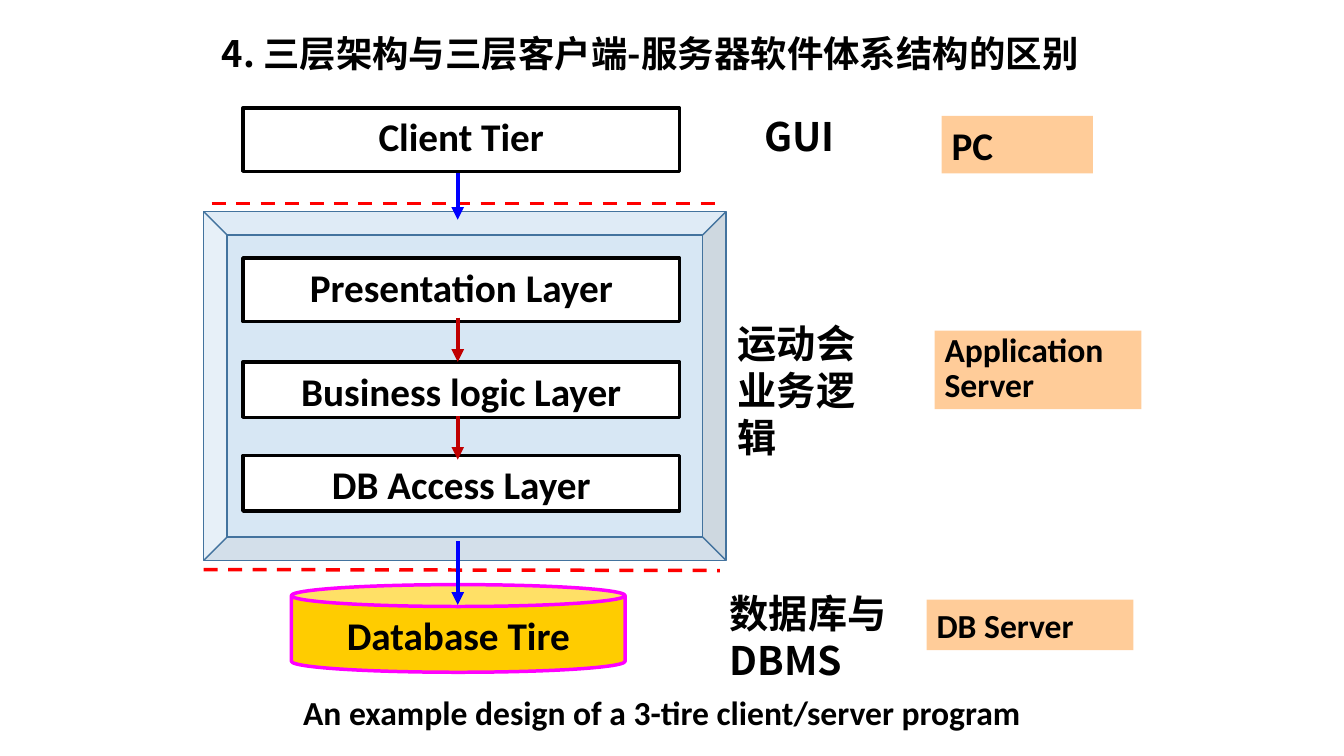
from dataclasses import dataclass

from lxml.etree import SubElement as Sub
from pptx import Presentation
from pptx.dml.color import RGBColor as Rgb
from pptx.enum.dml import MSO_LINE as Dash
from pptx.enum.shapes import MSO_CONNECTOR as Link, MSO_SHAPE as Kind
from pptx.enum.text import MSO_ANCHOR as Anchor, PP_ALIGN as Align
from pptx.oxml.ns import qn
from pptx.util import Pt

SCALE = 9144  # EMU in one px, 100 px to the inch


@dataclass(frozen=True)
class Theme:
    ink: str = "000000"
    paper: str = "FFFFFF"
    frame: str = "5B9BD5"
    edge: str = "43739E"
    gold: str = "FFCC00"
    pink: str = "FF00FF"
    peach: str = "FFCC99"
    red: str = "FF0000"
    blue: str = "0000FF"
    wine: str = "C00000"
    latin: str = "Calibri"
    asian: str = "Noto Sans CJK SC"
    big: int = 28
    head: int = 26
    small: int = 24


T = Theme()


def px(*nums):
    return [round(n * SCALE) for n in nums]


def apply(item, form):
    for key, val in form.items():
        setattr(item, key, val)


def write(shape, text, size=T.big, face=T.latin, align=Align.LEFT,
          lead=None, anchor=Anchor.TOP):
    frame = shape.text_frame
    apply(frame, {"word_wrap": True, "vertical_anchor": anchor})
    for i, line in enumerate(text.split("\n")):
        para = frame.add_paragraph() if i else frame.paragraphs[0]
        apply(para, {"alignment": align, "line_spacing": lead})
        run = para.add_run()
        run.text = line
        apply(run.font, {"size": Pt(size), "bold": True, "name": face})
        run.font.color.rgb = Rgb.from_string(T.ink)
        Sub(run.font._element, qn("a:ea"), typeface=face)


def label(slide, box, text, **form):
    write(slide.shapes.add_textbox(*px(*box)), text, **form)


def block(slide, kind, box, fill, line=None, width=2.5):
    shape = slide.shapes.add_shape(kind, *px(*box))
    shape.shadow.inherit = False
    shape.fill.solid()
    shape.fill.fore_color.rgb = Rgb.from_string(fill)
    if line:
        shape.line.color.rgb = Rgb.from_string(line)
        shape.line.width = Pt(width)
    else:
        shape.line.fill.background()
    return shape


def stroke(slide, ends, color, width, dash=None, arrow=False):
    line = slide.shapes.add_connector(Link.STRAIGHT, *px(*ends))
    line.line.color.rgb = Rgb.from_string(color)
    apply(line.line, {"width": Pt(width), "dash_style": dash})
    if arrow:
        Sub(line.line._get_or_add_ln(), qn("a:tailEnd"), type="triangle")
    Sub(line._element.spPr, qn("a:effectLst"))


def tier(slide, box, text):
    shape = block(slide, Kind.RECTANGLE, box, T.paper, T.ink)
    write(shape, text, align=Align.CENTER)


def middle(slide, box):
    """Bevelled frame with the three layers inside."""
    x, y, w, h = box
    frame = block(slide, Kind.BEVEL, box, T.frame, T.edge, 1)
    frame.adjustments[0] = 0.067
    tint = frame.fill._xPr.find(".//" + qn("a:srgbClr"))
    Sub(tint, qn("a:alpha"), val="24000")
    for top, high, text in ((46, 63, "Presentation Layer"),
                            (149, 55, "Business logic Layer"),
                            (242, 55, "DB Access Layer")):
        tier(slide, (x + 39, y + top, 433, high), text)


def store(slide, box):
    """Database cylinder."""
    can = block(slide, Kind.CAN, box, T.gold, T.pink)
    can.adjustments[0] = 0.25
    write(can, "Database Tire", align=Align.CENTER)


def flow(slide, box):
    """Dashed borders and arrows around the frame."""
    x, y, w, h = box
    for left, top, end in ((8, -8, -8), (0, h + 9, h + 10)):
        stroke(slide, (x + left, y + top, x + 512, y + end),
               T.red, 2.5, Dash.DASH)
    mid = x + 252
    for top, end, color in ((-48, 8, T.blue), (105, 149, T.wine),
                            (203, 246, T.wine), (327, 390, T.blue)):
        stroke(slide, (mid, y + top, mid, y + end), color, 3, arrow=True)


def roles(slide, box):
    """What each tier does."""
    x, y, w, h = box
    for left, top, wide, high, text, align in (
            (16, 0, 126, 57, "GUI", Align.CENTER),
            (8, 205, 173, 152, "运动会业务逻辑", Align.LEFT),
            (0, 473, 181, 104, "数据库与DBMS", Align.LEFT)):
        label(slide, (x + left, y + top, wide, high), text,
              face=T.asian, align=align)


def hosts(slide, box):
    """Machines that run each tier."""
    x, y, w, h = box
    for left, top, wide, high, text, size, lead in (
            (15, 0, 150, 57, "PC", T.big, None),
            (8, 213, 205, 78, "Application\nServer", T.small, 0.85),
            (0, 480, 205, 50, "DB Server", T.small, None)):
        spot = (x + left, y + top, wide, high)
        shape = block(slide, Kind.RECTANGLE, spot, T.peach)
        write(shape, text, size=size, lead=lead)


def main():
    deck = Presentation()
    deck.slide_width, deck.slide_height = px(1333, 750)
    slide = deck.slides.add_slide(deck.slide_layouts[6])
    core = (202, 210, 518, 346)
    # Diagram, back to front
    middle(slide, core)
    store(slide, (289, 580, 331, 87))
    flow(slide, core)
    tier(slide, (241, 107, 433, 63), "Client Tier")
    # Columns on the right
    roles(slide, (714, 107, 181, 577))
    hosts(slide, (919, 115, 213, 530))
    # Title and caption
    label(slide, (210, 13, 900, 85),
          "4. 三层架构与三层客户端-服务器软件体系结构的区别",
          size=T.head, face=T.asian, lead=0.9, anchor=Anchor.MIDDLE)
    label(slide, (198, 682, 917, 50),
          "An example design of a 3-tire client/server program",
          size=T.small, align=Align.CENTER)
    deck.save("out.pptx")


if __name__ == "__main__":
    main()
